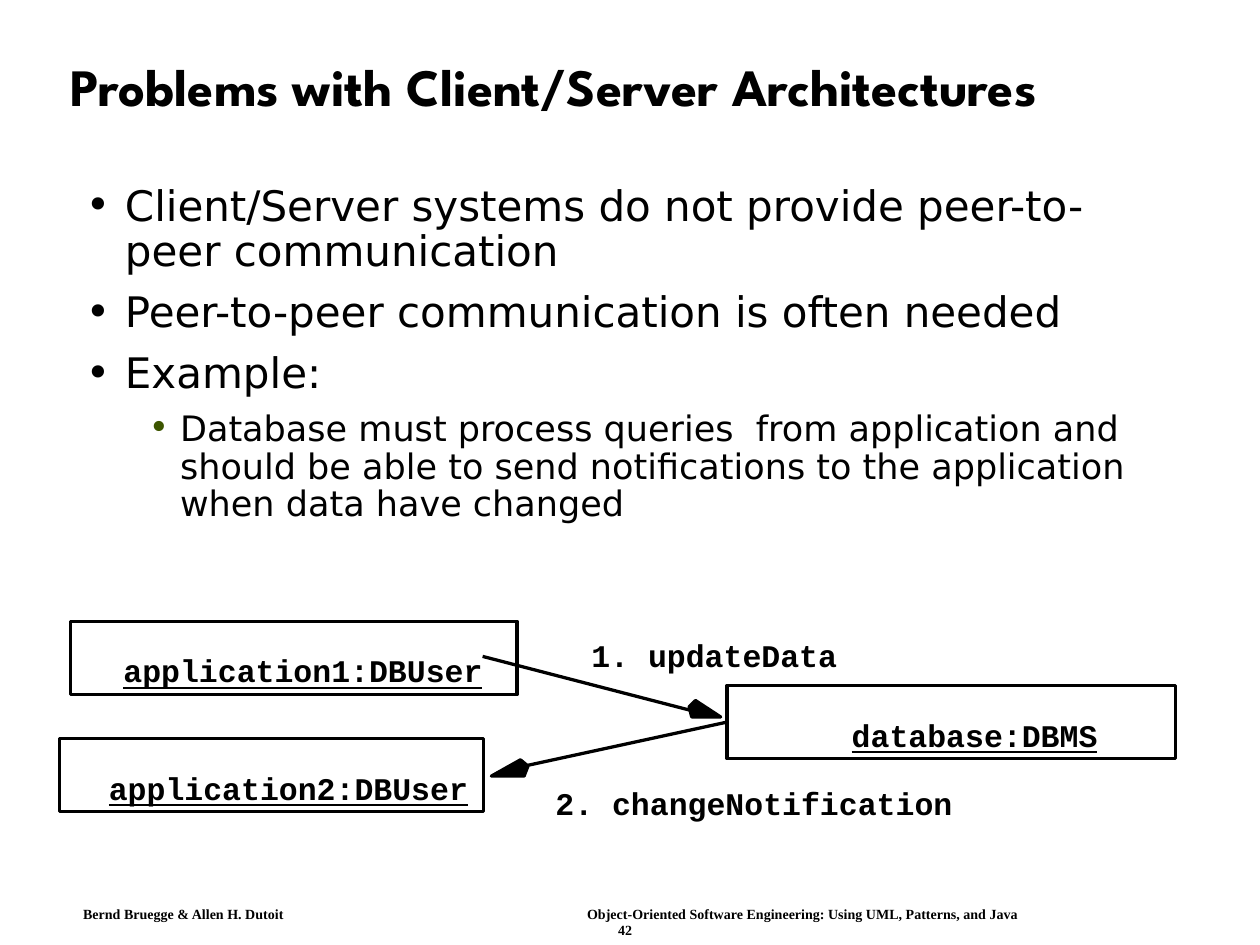
from dataclasses import dataclass

from lxml import etree
from pptx import Presentation
from pptx.dml.color import RGBColor
from pptx.enum.shapes import MSO_CONNECTOR, MSO_SHAPE
from pptx.enum.text import MSO_ANCHOR, PP_ALIGN
from pptx.oxml.ns import qn
from pptx.util import Pt

BLACK = RGBColor(0, 0, 0)
GREEN = RGBColor(0x3D, 0x55, 0x00)
RECTANGLE = MSO_SHAPE.RECTANGLE
STRAIGHT = MSO_CONNECTOR.STRAIGHT
LEFT = PP_ALIGN.LEFT
MIDDLE = MSO_ANCHOR.MIDDLE
LEFT_SIDE = 1
LINE_WIDTH = Pt(1.87)
LABEL_HEIGHT = 21.6
BOX_HEIGHT = 41.9
BODY_FONT = "DejaVu Sans"

TITLE = "Problems with Client/Server Architectures"


@dataclass(frozen=True)
class Level:
    size: float
    margin: float
    hanging: float
    space_before: float
    bullet_color: RGBColor


@dataclass(frozen=True)
class Bullet:
    text: str
    level: int = 0


@dataclass(frozen=True)
class Label:
    text: str
    left: float
    top: float
    width: float
    height: float = LABEL_HEIGHT
    font: str = "Courier New"
    size: float = 18
    underline: bool = False


@dataclass(frozen=True)
class Participant:
    left: float
    top: float
    width: float
    label: Label


@dataclass(frozen=True)
class Message:
    start: tuple[float, float]
    end: tuple[float, float]
    head: list[tuple[float, float]]
    label: Label


LEVELS = [
    Level(24, 22.5, 22.5, 9, BLACK),
    Level(20, 54, 18, 7.5, GREEN),
]
BULLETS = [
    Bullet("Client/Server systems do not provide peer-to-peer communication"),
    Bullet("Peer-to-peer communication is often needed"),
    Bullet("Example:"),
    Bullet("Database must process queries  from application and should be able to "
           "send notifications to the application when data have changed", 1),
]
APPLICATION_1 = Participant(
    40.3, 355, 255.2, Label("application1:DBUser", 70.5, 372.3, 212, underline=True))
APPLICATION_2 = Participant(
    33.9, 421.9, 242.6, Label("application2:DBUser", 62.2, 439.2, 212, underline=True))
DATABASE = Participant(
    415.4, 391.7, 256.3, Label("database:DBMS", 486.7, 409, 148, underline=True))
UPDATE = Message(
    (275.8, 375.1), (395.3, 406.1),
    [(393.8, 403.9), (397.4, 400.3), (411.8, 409.7), (395.3, 409.7)],
    Label("1. updateData", 337.9, 363.2, 148))
NOTIFICATION = Message(
    (415.4, 412.6), (299.5, 437.8),
    [(301.7, 437.8), (299.5, 443.5), (280.8, 443.5), (297.4, 434.2)],
    Label("2. changeNotification", 317.4, 448.1, 236))
FOOTER = [
    Label("Bernd Bruegge & Allen H. Dutoit", 47.5, 517.6, 125, 10, "Times New Roman", 8),
    Label("Object-Oriented Software Engineering: Using UML, Patterns, and Java",
          335.5, 517.6, 260, 10, "Times New Roman", 8),
    Label("42", 353.3, 526.8, 14, 10, "Times New Roman", 8),
]


def add_title(slide, text: str) -> None:
    title = slide.shapes.title
    title.left, title.top, title.width, title.height = Pt(33.1), Pt(17.3), Pt(642.2), Pt(67.7)
    frame = title.text_frame
    frame.text = text
    frame.vertical_anchor = MIDDLE
    paragraph = frame.paragraphs[0]
    paragraph.alignment = LEFT
    paragraph.line_spacing = 0.9
    font = paragraph.runs[0].font
    font.name, font.size, font.bold = "League Spartan", Pt(30), True
    font.color.rgb = BLACK


def add_bullet_mark(paragraph, level: Level) -> None:
    properties = paragraph._p.get_or_add_pPr()
    properties.set("marL", str(Pt(level.margin)))
    properties.set("indent", str(-Pt(level.hanging)))
    color = etree.SubElement(properties, qn("a:buClr"))
    etree.SubElement(color, qn("a:srgbClr"), val=str(level.bullet_color))
    etree.SubElement(properties, qn("a:buFont"), typeface=BODY_FONT)
    etree.SubElement(properties, qn("a:buChar"), char="•")


def add_bullets(slide, bullets: list[Bullet]) -> None:
    box = slide.shapes.add_textbox(Pt(41.8), Pt(102.2), Pt(630), Pt(378))
    frame = box.text_frame
    frame.word_wrap = True
    for index, bullet in enumerate(bullets):
        level = LEVELS[bullet.level]
        paragraph = frame.add_paragraph() if index else frame.paragraphs[0]
        paragraph.text = bullet.text
        paragraph.level = bullet.level
        add_bullet_mark(paragraph, level)
        paragraph.line_spacing = 0.9
        if index:
            paragraph.space_before = Pt(level.space_before)
        font = paragraph.runs[0].font
        font.name, font.size = BODY_FONT, Pt(level.size)
        font.color.rgb = BLACK


def add_label(slide, label: Label) -> None:
    box = slide.shapes.add_textbox(
        Pt(label.left), Pt(label.top), Pt(label.width), Pt(label.height))
    frame = box.text_frame
    frame.margin_left = frame.margin_top = frame.margin_right = frame.margin_bottom = 0
    frame.word_wrap = True
    frame.text = label.text
    paragraph = frame.paragraphs[0]
    paragraph.alignment = LEFT
    font = paragraph.runs[0].font
    font.name, font.size, font.bold = label.font, Pt(label.size), True
    font.underline = label.underline
    font.color.rgb = BLACK


def add_participant(slide, participant: Participant):
    shape = slide.shapes.add_shape(
        RECTANGLE, Pt(participant.left), Pt(participant.top),
        Pt(participant.width), Pt(BOX_HEIGHT))
    shape.shadow.inherit = False
    shape.fill.background()
    shape.line.color.rgb = BLACK
    shape.line.width = LINE_WIDTH
    add_label(slide, participant.label)
    return shape


def add_message(slide, message: Message):
    points = [(Pt(x), Pt(y)) for x, y in message.head]
    builder = slide.shapes.build_freeform(*points[0])
    builder.add_line_segments(points[1:], close=True)
    head = builder.convert_to_shape()
    head.shadow.inherit = False
    head.fill.solid()
    head.fill.fore_color.rgb = BLACK
    connector = slide.shapes.add_connector(
        STRAIGHT, *map(Pt, message.start), *map(Pt, message.end))
    for shape in (head, connector):
        shape.line.color.rgb = BLACK
        shape.line.width = LINE_WIDTH
    etree.SubElement(connector._element.spPr, qn("a:effectLst"))
    add_label(slide, message.label)
    return connector


def main() -> None:
    presentation = Presentation()
    presentation.slide_width, presentation.slide_height = Pt(720), Pt(540)
    slide = presentation.slides.add_slide(presentation.slide_layouts[5])
    for label in FOOTER:
        add_label(slide, label)
    add_title(slide, TITLE)
    add_bullets(slide, BULLETS)
    add_participant(slide, APPLICATION_1)
    database = add_participant(slide, DATABASE)
    add_participant(slide, APPLICATION_2)
    add_message(slide, UPDATE)
    add_message(slide, NOTIFICATION).begin_connect(database, LEFT_SIDE)
    presentation.save("out.pptx")


if __name__ == "__main__":
    main()
